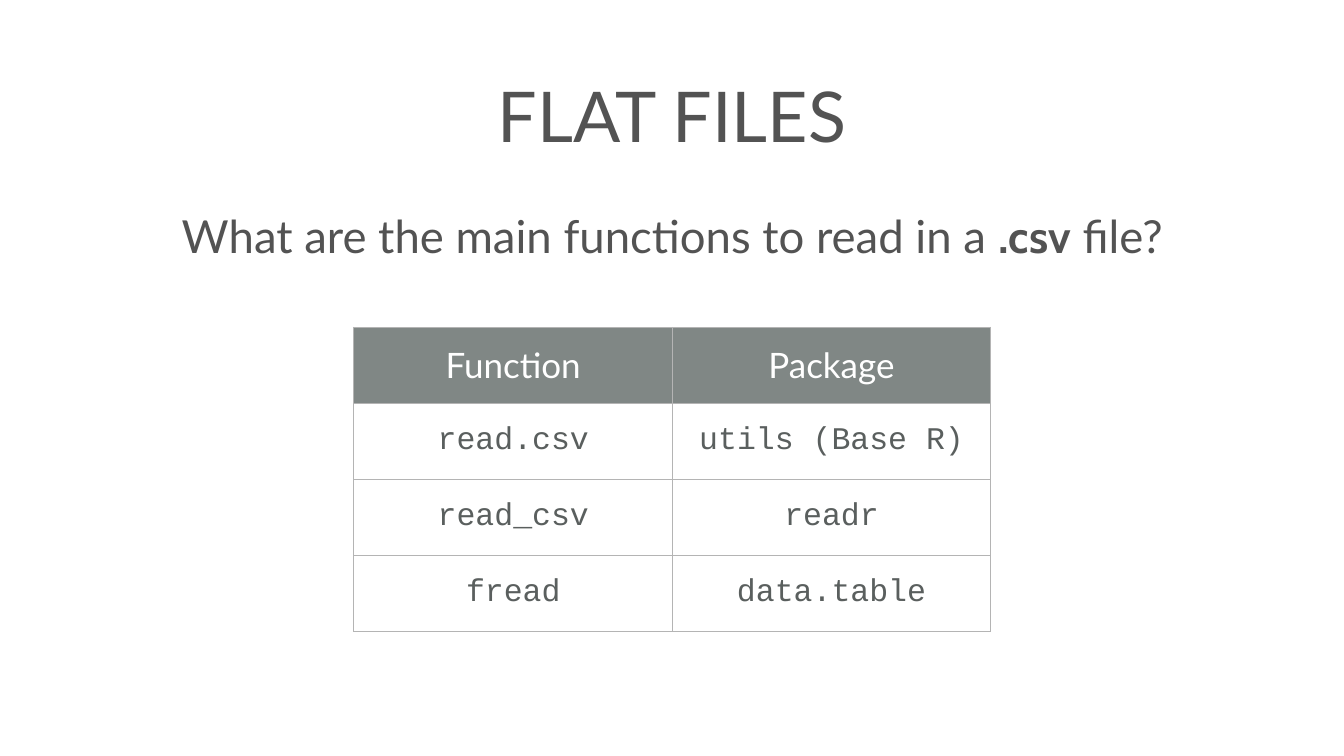
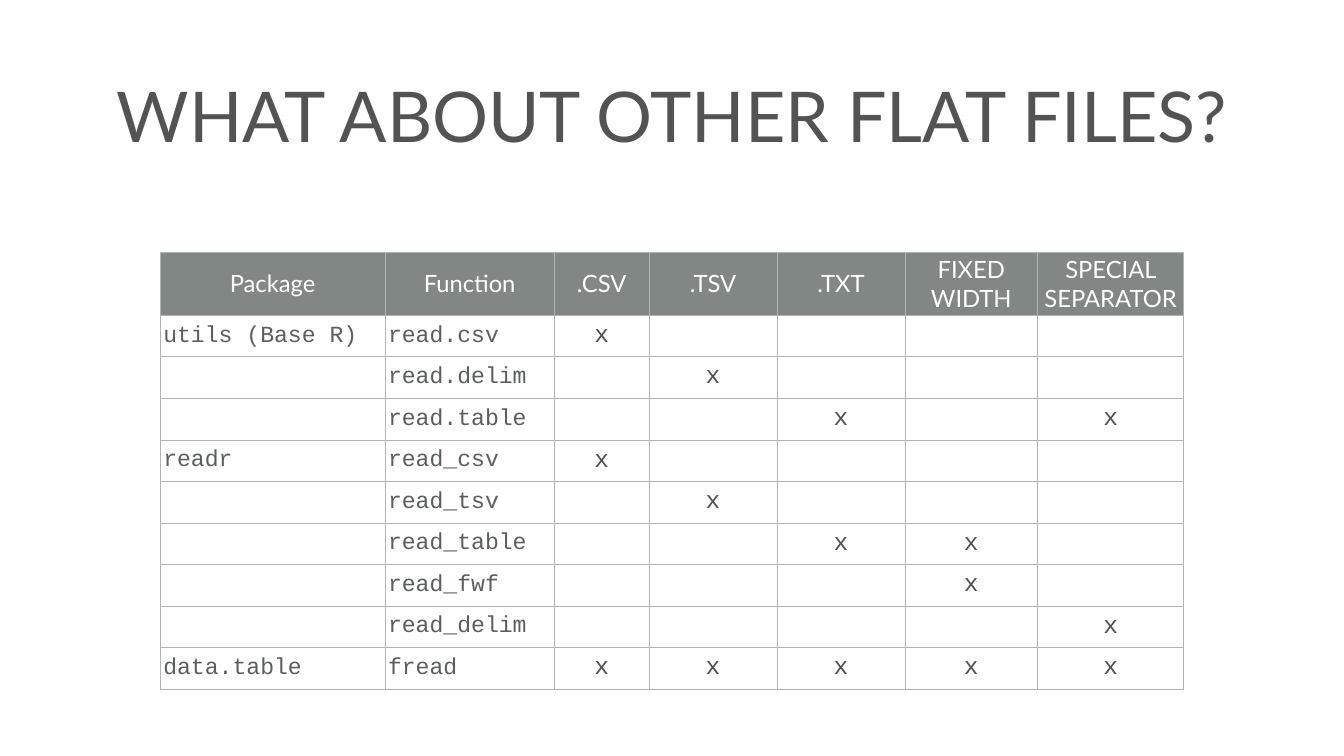
from dataclasses import dataclass

from lxml.etree import SubElement
from pptx import Presentation
from pptx.dml.color import RGBColor
from pptx.enum.text import MSO_ANCHOR, PP_ALIGN
from pptx.oxml.ns import qn
from pptx.util import Inches, Pt


@dataclass(frozen=True)
class Theme:
    ink: str = "535353"
    code: str = "5A5F5E"
    mark: str = "515151"
    head: str = "808785"
    white: str = "FFFFFF"
    rule: str = "B4B4B4"
    sans: str = "Lato"
    bold: str = "Cabin"
    mono: str = "Courier New"
    title: int = 100
    body: int = 65
    big_head: int = 50
    big_code: int = 45
    small_head: int = 34
    small_code: int = 33
    small_mark: int = 35
    pad: float = 0.06


@dataclass(frozen=True)
class Font:
    face: str
    size: int
    color: str
    bold: bool = False


class Deck:
    def __init__(self, theme):
        self.theme = theme
        self.file = Presentation()
        self.file.slide_width = Inches(26.67)
        self.file.slide_height = Inches(15)
        self.slide = None

    def page(self, title):
        self.slide = self.file.slides.add_slide(self.file.slide_layouts[6])
        look = self.theme
        font = Font(look.sans, look.title, look.ink)
        self.text((0.73, 0.39, 25.21, 3.75), [(title, font)], MSO_ANCHOR.MIDDLE)

    def inset(self, item):
        pad = Inches(self.theme.pad)
        item.margin_left = item.margin_right = pad
        item.margin_top = item.margin_bottom = pad

    def put(self, frame, runs, align=PP_ALIGN.CENTER):
        para = frame.paragraphs[0]
        para.alignment = align
        for words, font in runs:
            run = para.add_run()
            run.text = words
            run.font.name = font.face
            run.font.size = Pt(font.size)
            run.font.bold = font.bold
            run.font.color.rgb = RGBColor.from_string(font.color)

    def text(self, area, runs, anchor=MSO_ANCHOR.TOP):
        frame = self.slide.shapes.add_textbox(*map(Inches, area)).text_frame
        frame.word_wrap = True
        frame.vertical_anchor = anchor
        self.inset(frame)
        self.put(frame, runs)

    def border(self, cell):
        props = cell._tc.get_or_add_tcPr()
        for side in ("a:lnL", "a:lnR", "a:lnT", "a:lnB"):
            line = SubElement(props, qn(side), w=str(Pt(1)))
            fill = SubElement(line, qn("a:solidFill"))
            SubElement(fill, qn("a:srgbClr"), val=self.theme.rule)

    def table(self, area, rows, widths, top, style):
        """Draw rows under a header row of height top; style gives a cell's font and alignment."""
        grid = self.slide.shapes.add_table(
            len(rows), len(widths), *map(Inches, area)).table
        grid.first_row = grid.horz_banding = False
        for col, width in zip(grid.columns, widths):
            col.width = Inches(width)
        rest = (area[3] - top) / (len(rows) - 1)
        for r, words in enumerate(rows):
            grid.rows[r].height = Inches(rest if r else top)
            for c, word in enumerate(words):
                cell = grid.cell(r, c)
                self.border(cell)
                self.inset(cell)
                cell.vertical_anchor = MSO_ANCHOR.MIDDLE
                if r:
                    cell.fill.background()
                else:
                    cell.fill.solid()
                    cell.fill.fore_color.rgb = RGBColor.from_string(self.theme.head)
                if word:
                    font, align = style(r, c)
                    self.put(cell.text_frame, [(word, font)], align)


def basics(deck):
    look = deck.theme
    deck.page("FLAT FILES")
    plain = Font(look.sans, look.body, look.ink)
    strong = Font(look.bold, look.body, look.ink, True)
    deck.text((1.57, 4.06, 23.54, 10.94), [
        ("What are the main functions to read in a ", plain),
        (".csv", strong),
        (" file?", plain),
    ])
    head = Font(look.sans, look.big_head, look.white)
    code = Font(look.mono, look.big_code, look.code)
    rows = [
        ("Function", "Package"),
        ("read.csv", "utils (Base R)"),
        ("read_csv", "readr"),
        ("fread", "data.table"),
    ]
    deck.table((7.02, 6.49, 12.63, 6.04), rows, (6.33, 6.3), 1.51,
               lambda r, c: (code if r else head, PP_ALIGN.CENTER))


def others(deck):
    look = deck.theme
    deck.page("WHAT ABOUT OTHER FLAT FILES?")
    head = Font(look.sans, look.small_head, look.white)
    code = Font(look.mono, look.small_code, look.code)
    mark = Font(look.mono, look.small_mark, look.mark)
    kinds = (".CSV", ".TSV", ".TXT", "FIXED WIDTH", "SPECIAL SEPARATOR")
    reads = [
        ("utils (Base R)", "read.csv", "x----"),
        ("", "read.delim", "-x---"),
        ("", "read.table", "--x-x"),
        ("readr", "read_csv", "x----"),
        ("", "read_tsv", "-x---"),
        ("", "read_table", "--xx-"),
        ("", "read_fwf", "---x-"),
        ("", "read_delim", "----x"),
        ("data.table", "fread", "xxxxx"),
    ]
    rows = [("Package", "Function", *kinds)]
    for pack, name, marks in reads:
        rows.append((pack, name, *(m.strip("-") for m in marks)))

    def style(r, c):
        if r == 0:
            return head, PP_ALIGN.CENTER
        return (code, PP_ALIGN.LEFT) if c < 2 else (mark, PP_ALIGN.CENTER)

    deck.table((3.18, 5, 20.3, 8.67), rows,
               (4.46, 3.36, 1.88, 2.54, 2.54, 2.63, 2.9), 1.25, style)


def main():
    deck = Deck(Theme())
    basics(deck)
    others(deck)
    deck.file.save("out.pptx")


if __name__ == "__main__":
    main()
